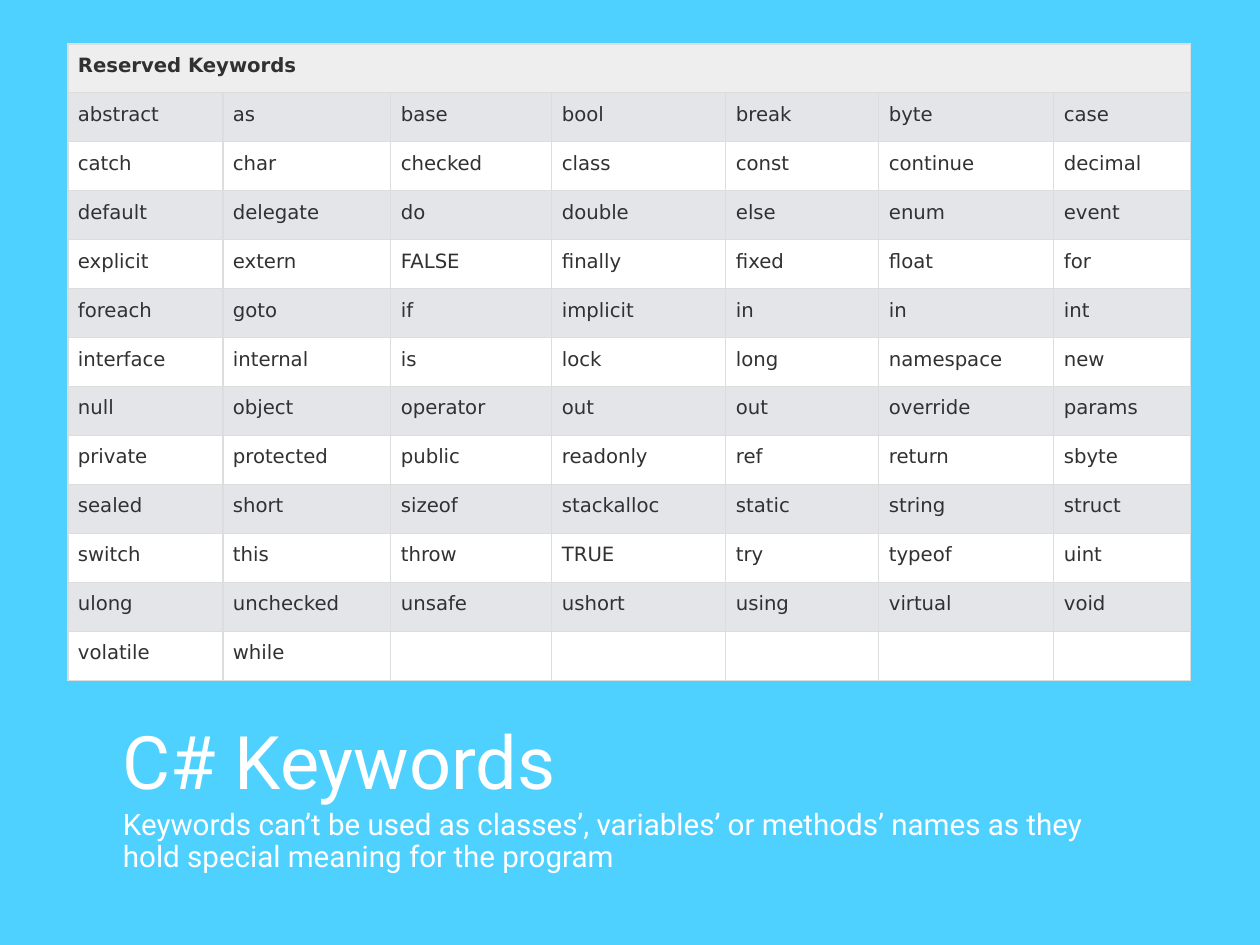
from lxml import etree
from pptx import Presentation
from pptx.dml.color import RGBColor
from pptx.enum.text import MSO_ANCHOR
from pptx.oxml.ns import qn
from pptx.util import Pt

PX = 10320  # EMU per px
TOP, BOTTOM = MSO_ANCHOR.TOP, MSO_ANCHOR.BOTTOM
COL_WIDTHS = [155, 168, 161, 174, 153, 175, 137]
ROW_HEIGHT = 49
CELL_MARGIN = 10 * PX
KEYWORDS = """
abstract as base bool break byte case
catch char checked class const continue decimal
default delegate do double else enum event
explicit extern FALSE finally fixed float for
foreach goto if implicit in in int
interface internal is lock long namespace new
null object operator out out override params
private protected public readonly ref return sbyte
sealed short sizeof stackalloc static string struct
switch this throw TRUE try typeof uint
ulong unchecked unsafe ushort using virtual void
volatile while
""".split()


def color(value):
    return RGBColor.from_string(value)


def write(tf, text, size, font, fill, bold=False, spacing=None):
    p = tf.paragraphs[0]
    p.line_spacing = spacing
    r = p.add_run()
    r.text = text
    r.font.size = Pt(size)
    r.font.name = font
    r.font.bold = bold
    r.font.color.rgb = color(fill)


prs = Presentation()
prs.slide_width, prs.slide_height = 1260 * PX, 945 * PX
s = prs.slides.add_slide(prs.slide_layouts[6])
s.background.fill.solid()
s.background.fill.fore_color.rgb = color("4FD1FF")

# Title and explanation
for text, top, height, size, anchor in [
    ("C# Keywords", 667, 138, 60, BOTTOM),
    ("Keywords can’t be used as classes’, variables’ or methods’ names "
     "as they hold special meaning for the program", 810, 110, 24, TOP),
]:
    sp = s.shapes.add_textbox(123 * PX, top * PX, 1014 * PX, height * PX)
    tf = sp.text_frame
    tf.word_wrap = True
    tf.vertical_anchor = anchor
    tf.margin_left = tf.margin_right = tf.margin_top = tf.margin_bottom = 0
    write(tf, text, size, "Roboto", "FFFFFF", spacing=0.9)

# Keyword table: one heading row, then the keywords row by row
n_cols = len(COL_WIDTHS)
n_rows = 1 + -(-len(KEYWORDS) // n_cols)
table = s.shapes.add_table(n_rows, n_cols, 68 * PX, 44 * PX,
                           sum(COL_WIDTHS) * PX, n_rows * ROW_HEIGHT * PX).table
for col, width in zip(table.columns, COL_WIDTHS):
    col.width = width * PX
for row in table.rows:
    row.height = ROW_HEIGHT * PX
table.cell(0, 0).merge(table.cell(0, n_cols - 1))
write(table.cell(0, 0).text_frame, "Reserved Keywords", 16, "DejaVu Sans", "313131", bold=True)
for i, keyword in enumerate(KEYWORDS):
    cell = table.cell(1 + i // n_cols, i % n_cols)
    write(cell.text_frame, keyword, 16, "DejaVu Sans", "313131")

# Cell margins, banded fills and borders
for i, row in enumerate(table.rows):
    for cell in row.cells:
        cell.margin_left = cell.margin_right = CELL_MARGIN
        cell.margin_top = cell.margin_bottom = CELL_MARGIN
        cell.fill.solid()
        cell.fill.fore_color.rgb = color("EEEEEE" if i == 0 else "E3E5E8" if i % 2 else "FFFFFF")
        tcPr = cell._tc.get_or_add_tcPr()
        for n, side in enumerate(["a:lnL", "a:lnR", "a:lnT", "a:lnB"]):
            ln = etree.Element(qn(side), w=str(Pt(1)))
            fill = etree.SubElement(ln, qn("a:solidFill"))
            etree.SubElement(fill, qn("a:srgbClr"), val="DDDDDD")
            tcPr.insert(n, ln)

prs.save("out.pptx")
